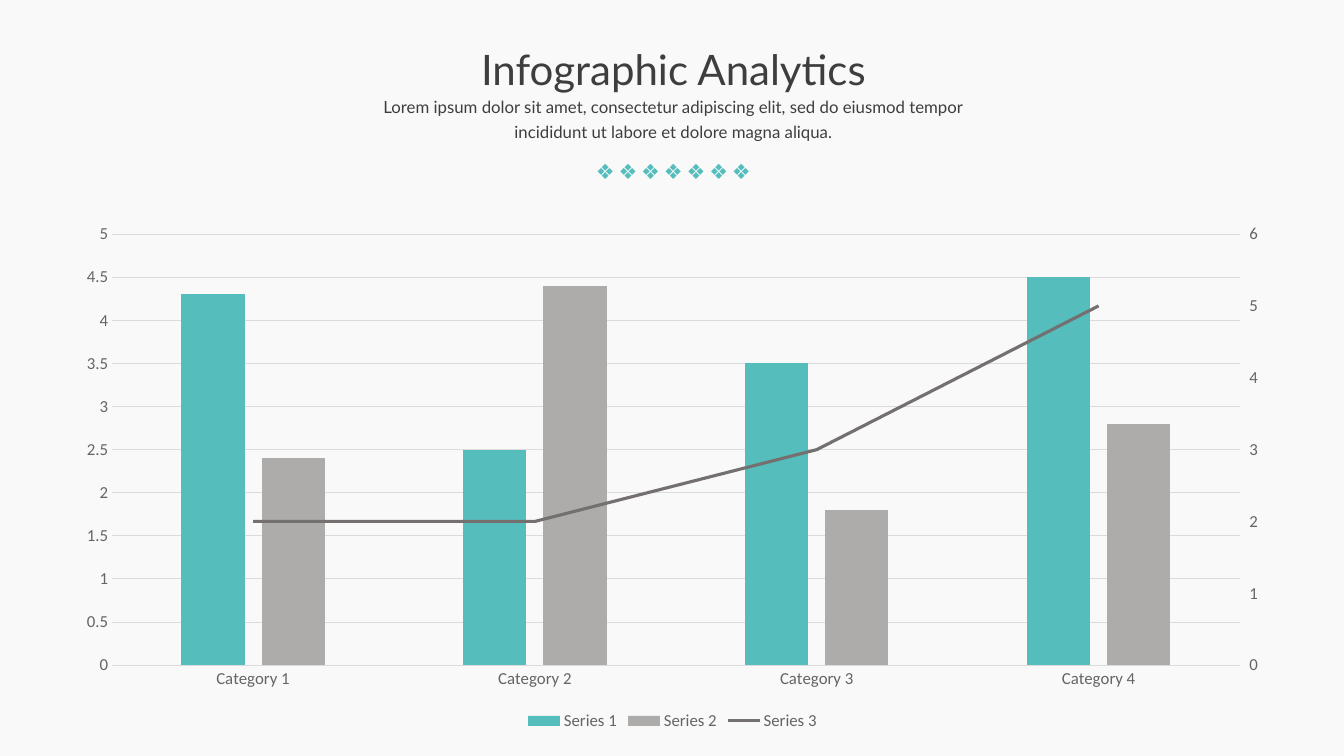
"""Build the Infographic Analytics slide with a column and line chart."""
from copy import deepcopy
from dataclasses import dataclass

from pptx import Presentation
from pptx.chart.chart import Chart
from pptx.chart.data import CategoryChartData
from pptx.dml.color import RGBColor
from pptx.enum.chart import XL_CHART_TYPE, XL_LEGEND_POSITION, XL_TICK_MARK
from pptx.enum.text import MSO_ANCHOR, MSO_AUTO_SIZE, PP_ALIGN
from pptx.oxml import parse_xml
from pptx.oxml.ns import nsdecls
from pptx.util import Inches, Length, Pt

COLUMNS = XL_CHART_TYPE.COLUMN_CLUSTERED
BOTTOM = XL_LEGEND_POSITION.BOTTOM
NO_TICK = XL_TICK_MARK.NONE
TOP, MIDDLE = MSO_ANCHOR.TOP, MSO_ANCHOR.MIDDLE
GROW = MSO_AUTO_SIZE.SHAPE_TO_FIT_TEXT
LEFT, CENTER = PP_ALIGN.LEFT, PP_ALIGN.CENTER

COLORS = {
    "background": "F9F9F9",
    "heading": "3E3E3E",
    "teal": "56BDBD",
    "silver": "AEABAB",
    "slate": "757070",
    "label": "646464",
    "grid": "DBDBDB",
}
CATEGORIES = ["Category 1", "Category 2", "Category 3", "Category 4"]
DIAMOND_COUNT = 7
DIAMOND_LEFT, DIAMOND_PITCH = 5.91, 0.225
RIGHT_CATEGORY_ID, RIGHT_VALUE_ID = "50010", "50020"


@dataclass
class Label:
    """A text box with one paragraph in one format."""

    text: str
    left: float
    top: float
    width: float
    height: float
    size: int
    font: str
    color: str
    align: PP_ALIGN = CENTER
    anchor: MSO_ANCHOR = TOP
    wrap: bool = False
    spacing: float | Length = 1.0


@dataclass
class Series:
    """A named chart series and its colour."""

    name: str
    values: list[float]
    color: str


HEADINGS = [
    Label("Infographic Analytics", 4.7, 0.43, 3.96, 0.48, 30, "Lato", "heading",
          anchor=MIDDLE, spacing=Pt(37)),
    Label("Lorem ipsum dolor sit amet, consectetur adipiscing elit, sed do eiusmod "
          "tempor incididunt ut labore et dolore magna aliqua.",
          3.68, 0.91, 6, 0.48, 12, "Lato", "heading", wrap=True, spacing=1.25),
]
SERIES = [
    Series("Series 1", [4.3, 2.5, 3.5, 4.5], "teal"),
    Series("Series 2", [2.4, 4.4, 1.8, 2.8], "silver"),
    Series("Series 3", [2, 2, 3, 5], "slate"),
]


def rgb(name: str) -> RGBColor:
    """Return the named colour."""
    return RGBColor.from_string(COLORS[name])


def style_font(font, size: int, face: str, color: str) -> None:
    """Set size, face and colour of a font."""
    font.size = Pt(size)
    font.name = face
    font.color.rgb = rgb(color)


def style_line(line, color: str, width: float) -> None:
    """Set colour and width of a line."""
    line.color.rgb = rgb(color)
    line.width = Pt(width)


def add_label(shapes, label: Label) -> None:
    """Add a text box without insets."""
    box = shapes.add_textbox(Inches(label.left), Inches(label.top),
                             Inches(label.width), Inches(label.height))
    frame = box.text_frame
    frame.text = label.text
    frame.margin_left = frame.margin_right = 0
    frame.margin_top = frame.margin_bottom = 0
    frame.word_wrap = label.wrap
    frame.auto_size = GROW
    frame.vertical_anchor = label.anchor
    para = frame.paragraphs[0]
    para.alignment = label.align
    para.line_spacing = label.spacing
    style_font(para.runs[0].font, label.size, label.font, label.color)


def style_axes(chart: Chart) -> None:
    """Format the category axis and the left value axis."""
    for axis in (chart.category_axis, chart.value_axis):
        axis.major_tick_mark = axis.minor_tick_mark = NO_TICK
        style_font(axis.tick_labels.font, 12, "Calibri", "label")
    style_line(chart.category_axis.format.line, "grid", 0.75)
    value_axis = chart.value_axis
    value_axis.minimum_scale, value_axis.maximum_scale = 0, 5
    value_axis.major_unit = 0.5
    value_axis.format.line.fill.background()
    style_line(value_axis.major_gridlines.format.line, "grid", 0.75)


def set_values(element, values: dict[str, str]) -> None:
    """Set the val attribute of the elements found by tag."""
    for tag, value in values.items():
        for found in element.xpath(f".//{tag}"):
            found.set("val", value)


def move_last_series_to_line(chart: Chart) -> None:
    """Draw the last series as a line on a right-hand axis."""
    plot_area = chart.plots[0]._element.getparent()
    bar_chart = plot_area.xpath("c:barChart")[0]
    series = bar_chart.xpath("c:ser")[-1]
    for flag in series.xpath("c:invertIfNegative"):
        series.remove(flag)
    marker = parse_xml(f'<c:marker {nsdecls("c")}><c:symbol val="none"/></c:marker>')
    series.xpath("c:cat")[0].addprevious(marker)
    series.append(parse_xml(f'<c:smooth {nsdecls("c")} val="0"/>'))
    line_chart = parse_xml(
        f'<c:lineChart {nsdecls("c")}><c:grouping val="standard"/>'
        '<c:varyColors val="0"/><c:marker val="1"/>'
        f'<c:axId val="{RIGHT_CATEGORY_ID}"/><c:axId val="{RIGHT_VALUE_ID}"/>'
        '</c:lineChart>')
    line_chart.xpath("c:varyColors")[0].addnext(series)
    bar_chart.addnext(line_chart)

    left_axis = plot_area.xpath("c:valAx")[0]
    right_axis = deepcopy(left_axis)
    hidden_axis = deepcopy(plot_area.xpath("c:catAx")[0])
    right_axis.remove(right_axis.xpath("c:majorGridlines")[0])
    set_values(right_axis, {
        "c:axId": RIGHT_VALUE_ID, "c:crossAx": RIGHT_CATEGORY_ID, "c:max": "6",
        "c:majorUnit": "1", "c:axPos": "r", "c:crosses": "max",
        "c:majorTickMark": "out"})
    set_values(hidden_axis, {
        "c:axId": RIGHT_CATEGORY_ID, "c:crossAx": RIGHT_VALUE_ID, "c:delete": "1"})
    left_axis.addnext(right_axis)
    right_axis.addnext(hidden_axis)


def add_combined_chart(shapes) -> None:
    """Add the chart with two column series and one line series."""
    chart_data = CategoryChartData()
    chart_data.categories = CATEGORIES
    for series in SERIES:
        chart_data.add_series(series.name, series.values)
    chart = shapes.add_chart(COLUMNS, Inches(0.62), Inches(2.12),
                             Inches(12.1), Inches(5.17), chart_data).chart
    style_font(chart.font, 12, "Calibri", "label")
    chart.has_title = False
    chart.has_legend = True
    chart.legend.position = BOTTOM
    chart.legend.include_in_layout = False
    style_font(chart.legend.font, 12, "Calibri", "label")
    plot = chart.plots[0]
    plot.gap_width, plot.overlap = 219, -27
    plot.vary_by_categories = False
    *columns, trend = zip(plot.series, SERIES)
    for drawn, series in columns:
        drawn.format.fill.solid()
        drawn.format.fill.fore_color.rgb = rgb(series.color)
    style_line(trend[0].format.line, trend[1].color, 2.25)
    style_axes(chart)
    move_last_series_to_line(chart)


def main() -> None:
    """Build and save the deck."""
    deck = Presentation()
    deck.slide_width, deck.slide_height = Inches(13.33), Inches(7.5)
    page = deck.slides.add_slide(deck.slide_layouts[6])
    page.background.fill.solid()
    page.background.fill.fore_color.rgb = rgb("background")
    add_combined_chart(page.shapes)
    for heading in HEADINGS:
        add_label(page.shapes, heading)
    diamonds = page.shapes.add_group_shape()
    for index in range(DIAMOND_COUNT):
        left = DIAMOND_LEFT + index * DIAMOND_PITCH
        add_label(diamonds.shapes, Label("❖", left, 1.57, 0.19, 0.25, 15,
                                         "Calibri", "teal", align=LEFT))
    deck.save("out.pptx")


if __name__ == "__main__":
    main()
